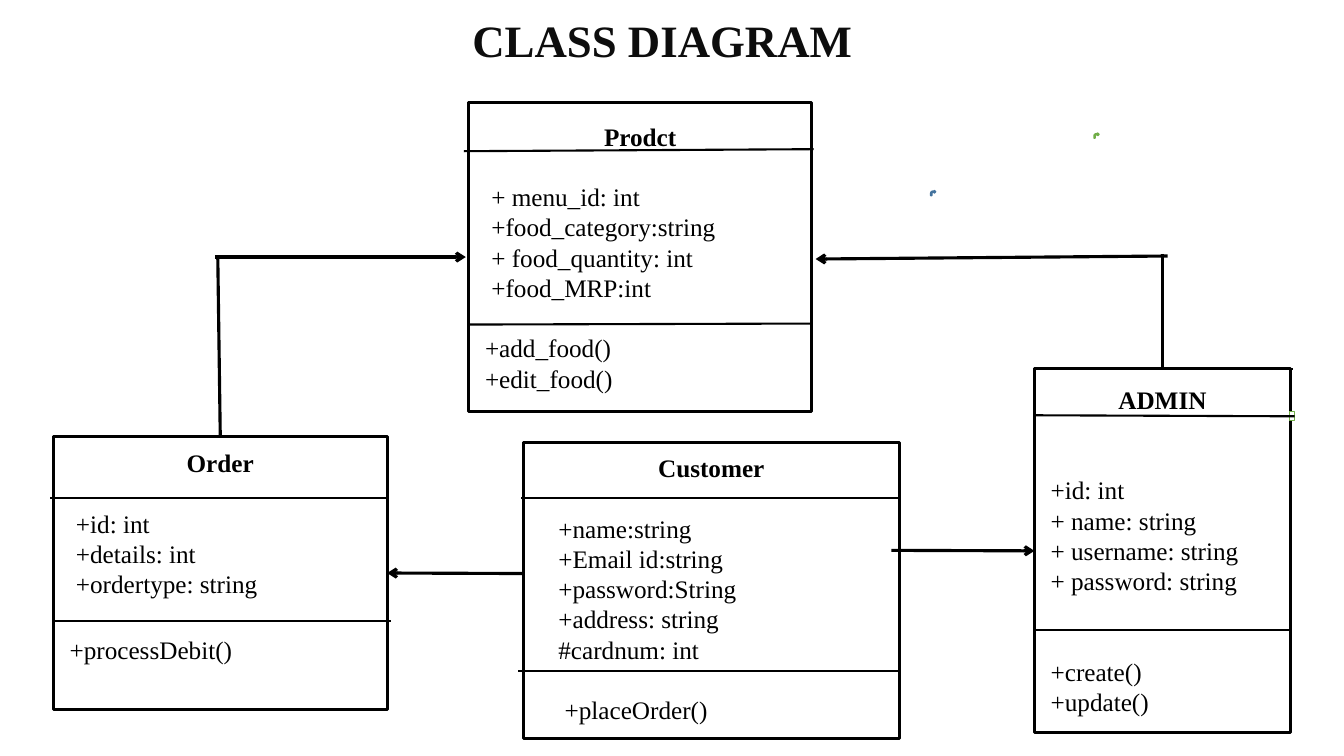
from pptx import Presentation
from pptx.dml.color import RGBColor
from pptx.enum.shapes import MSO_CONNECTOR, MSO_SHAPE
from pptx.enum.text import MSO_ANCHOR, PP_ALIGN
from pptx.oxml.ns import qn
from pptx.util import Inches, Pt
from lxml import etree

RECT, BENT_ARROW = MSO_SHAPE.RECTANGLE, MSO_SHAPE.BENT_ARROW
STRAIGHT = MSO_CONNECTOR.STRAIGHT
TOP, MIDDLE = MSO_ANCHOR.TOP, MSO_ANCHOR.MIDDLE
LEFT, CENTER = PP_ALIGN.LEFT, PP_ALIGN.CENTER
SIDE_TOP, SIDE_LEFT, SIDE_RIGHT = 0, 1, 3

BLACK = RGBColor(0x00, 0x00, 0x00)
WHITE = RGBColor(0xFF, 0xFF, 0xFF)
INK = RGBColor(0x0D, 0x0D, 0x0D)
BLUE = RGBColor(0x5B, 0x9B, 0xD5)
DARK_BLUE = RGBColor(0x43, 0x73, 0x9E)
GREEN = RGBColor(0x70, 0xAD, 0x47)

FONT = "Times New Roman"
PITCH = 21.6  # points from one text line to the next
SPACE = 0.0625  # inches of indent per step


class ClassDiagram:
    """Holds the style and the current slide."""

    def __init__(self, prs):
        self.slide = prs.slides.add_slide(prs.slide_layouts[5])
        self.shapes = self.slide.shapes

    def style(self, p, size, color=BLACK, bold=False):
        values = {"name": FONT, "size": Pt(size), "bold": bold}
        for r in p.runs:
            for key, value in values.items():
                setattr(r.font, key, value)
            r.font.color.rgb = color

    def title(self, text, at):
        sp = self.shapes.title
        sp.left, sp.top, sp.width, sp.height = (Inches(v) for v in at)
        tf = sp.text_frame
        tf.text = text
        tf.vertical_anchor = MIDDLE
        tf.paragraphs[0].alignment = CENTER
        self.style(tf.paragraphs[0], 32, INK, True)

    def shape(self, kind, at, fill=WHITE, line=BLACK, width=2.25):
        sp = self.shapes.add_shape(kind, *(Inches(v) for v in at))
        sp.shadow.inherit = False
        sp.fill.solid()
        sp.fill.fore_color.rgb = fill
        sp.line.color.rgb = line
        sp.line.width = Pt(width)
        return sp

    def class_box(self, at, name, inset, sections):
        """Each section is (gap in points, indent steps, lines)."""
        sp = self.shape(RECT, at)
        tf = sp.text_frame
        tf.word_wrap = True
        tf.vertical_anchor = TOP
        tf.margin_top = Inches(inset)
        self.line_of_text(tf.paragraphs[0], name, bold=True, align=CENTER)
        for gap, steps, lines in sections:
            for i, text in enumerate(lines):
                p = tf.add_paragraph()
                p._p.get_or_add_pPr().set("marL", str(Inches(steps * SPACE)))
                self.line_of_text(p, text)
                if i == 0:
                    p.space_before = Pt(gap)
        return sp

    def line_of_text(self, p, text, bold=False, align=LEFT):
        p.add_run().text = text
        p.alignment = align
        p.line_spacing = Pt(PITCH)
        self.style(p, 18, bold=bold)

    def line(self, x1, y1, x2, y2, width=1.5, arrow=False, begin=None, end=None):
        cx = self.shapes.add_connector(STRAIGHT, *(Inches(v) for v in (x1, y1, x2, y2)))
        if begin:
            cx.begin_connect(*begin)
        if end:
            cx.end_connect(*end)
        cx.line.color.rgb = BLACK
        cx.line.width = Pt(width)
        if arrow:
            etree.SubElement(cx.line._get_or_add_ln(), qn("a:tailEnd"), type="arrow")
        etree.SubElement(cx._element.spPr, qn("a:effectLst"))


def main():
    prs = Presentation()
    prs.slide_width, prs.slide_height = Inches(13.33), Inches(7.5)
    d = ClassDiagram(prs)
    d.title("CLASS DIAGRAM", (2.55, 0.07, 8.04, 0.64))

    # Classes
    d.class_box((4.65, 1.02, 3.4, 3.06), "Prodct", 0.18, [
        (PITCH, 2, ["+ menu_id: int", "+food_category:string",
                    "+ food_quantity: int", "+food_MRP:int"]),
        (PITCH, 1, ["+add_food()", "+edit_food()"])])
    admin = d.class_box((10.26, 3.66, 2.54, 3.61), "ADMIN", 0.15, [
        (2 * PITCH, 1, ["+id: int", "+ name: string",
                        "+ username: string", "+ password: string"]),
        (2 * PITCH, 1, ["+create()", "+update()"])])
    order = d.class_box((0.53, 4.33, 3.31, 2.71), "Order", 0.11, [
        (PITCH, 2, ["+id: int", "+details: int", "+ordertype: string"]),
        (25.5, 1, ["+processDebit()"])])
    d.class_box((5.19, 4.39, 3.73, 2.94), "Customer", 0.1, [
        (PITCH, 4, ["+name:string", "+Email id:string", "+password:String",
                    "+address: string", "#cardnum: int"]),
        (PITCH, 5, ["+placeOrder()"])])

    # Small marks
    d.shape(RECT, (12.79, 4.08, 0.05, 0.09), WHITE, GREEN, 1)
    d.shape(BENT_ARROW, (9.23, 1.89, 0.05, 0.05), BLUE, DARK_BLUE, 1)
    d.shape(BENT_ARROW, (10.85, 1.32, 0.05, 0.05), WHITE, GREEN, 1)

    # Compartment dividers
    for ends in [(4.6, 1.5, 8.07, 1.48), (4.66, 3.22, 8.05, 3.21),
                 (10.27, 3.66, 12.82, 3.66), (10.25, 4.12, 12.84, 4.13),
                 (10.26, 6.25, 12.81, 6.25),
                 (0.5, 4.94, 3.84, 4.94), (0.53, 6.16, 3.88, 6.16),
                 (5.17, 4.94, 8.94, 4.94), (5.14, 6.66, 8.92, 6.66)]:
        d.line(*ends)

    # Associations
    d.line(2.13, 2.55, 4.62, 2.55, 2.25, arrow=True)
    d.line(2.16, 2.54, 2.19, 4.33, 2.25, end=(order, SIDE_TOP))
    d.line(5.2, 5.69, 3.84, 5.69, 2.25, arrow=True, end=(order, SIDE_RIGHT))
    d.line(8.84, 5.46, 10.26, 5.47, 2.25, arrow=True, end=(admin, SIDE_LEFT))
    d.line(11.58, 2.54, 8.09, 2.57, 2.25, arrow=True)
    d.line(11.53, 2.52, 11.55, 3.65, 2.25, end=(admin, SIDE_TOP))

    prs.save("out.pptx")


if __name__ == "__main__":
    main()
